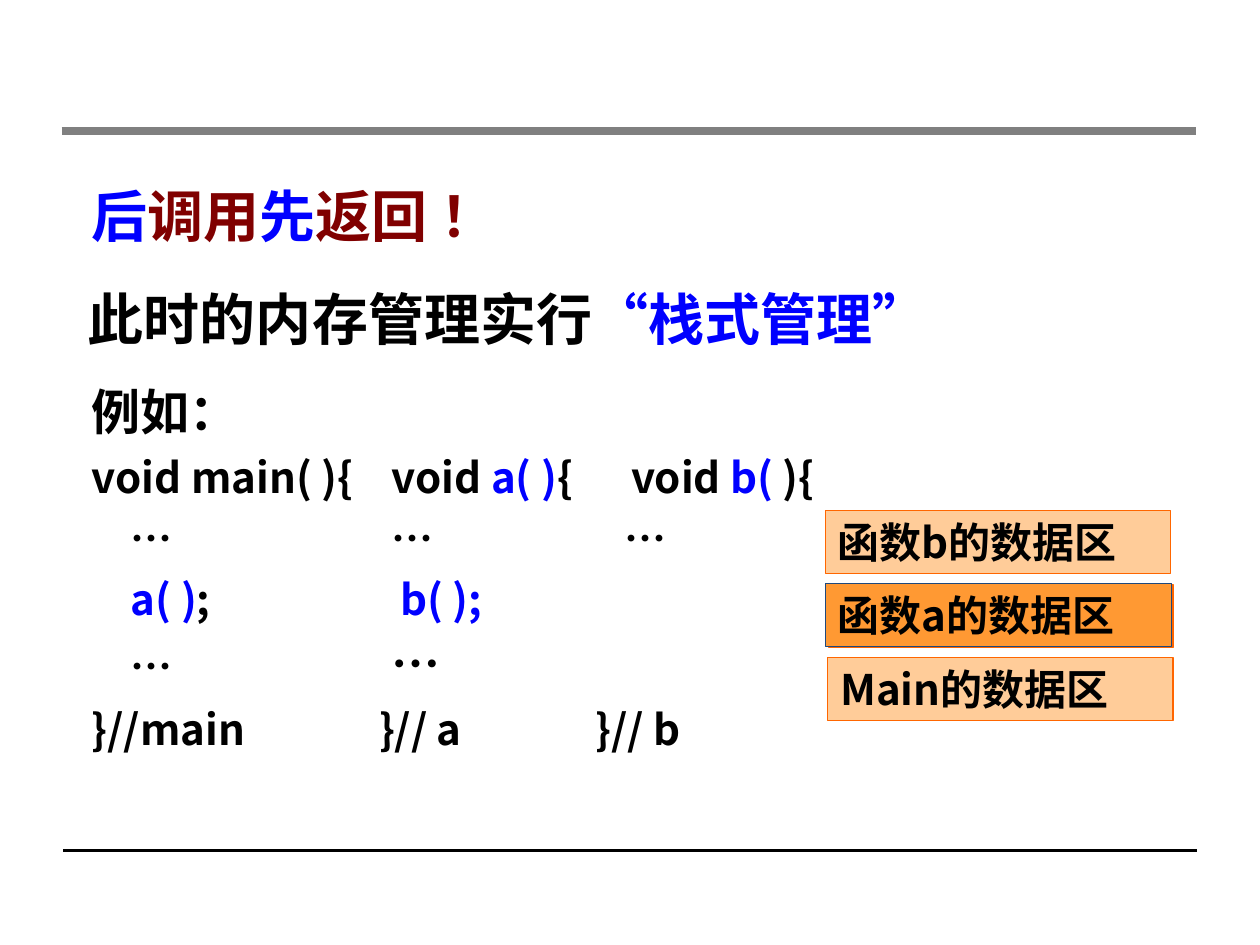
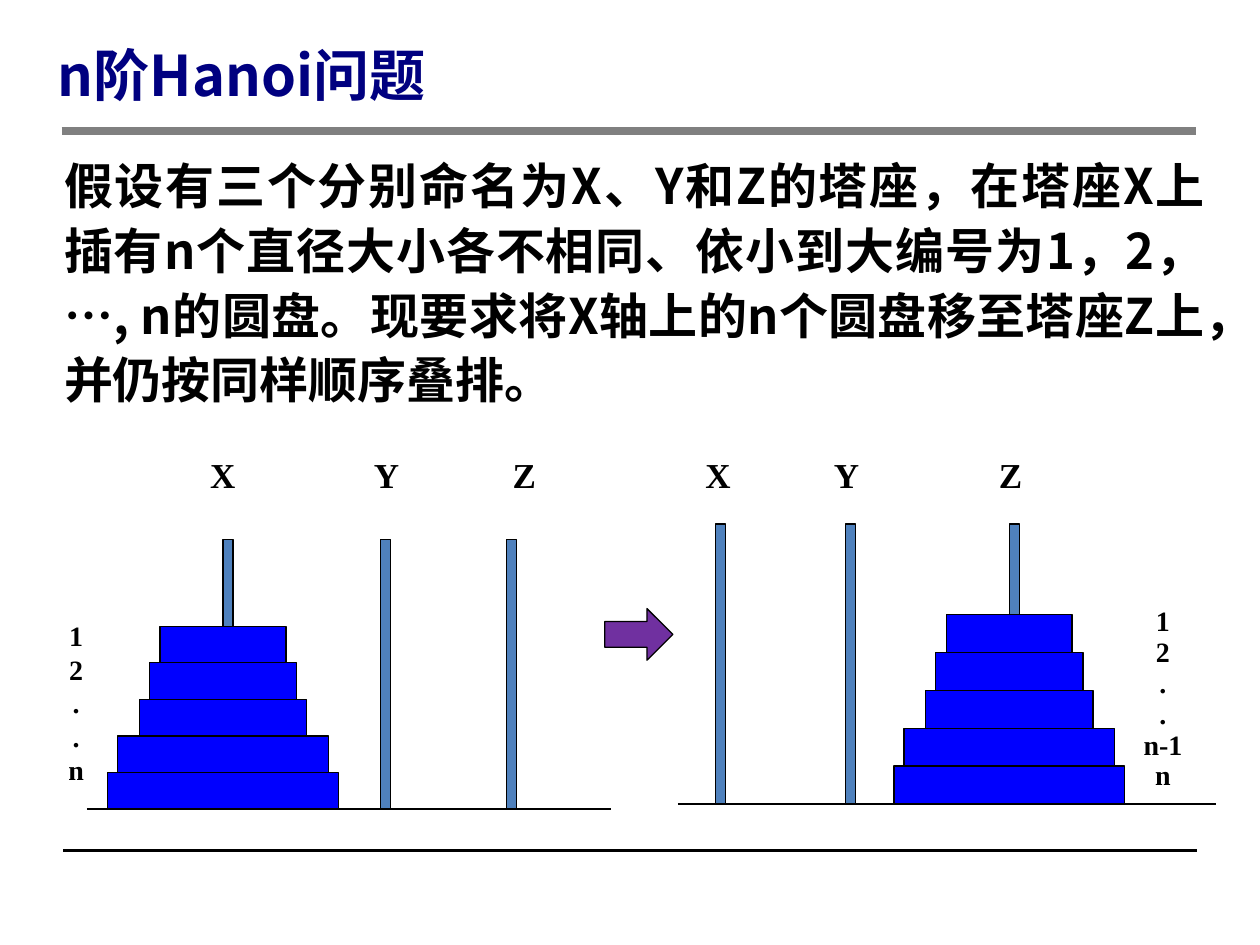
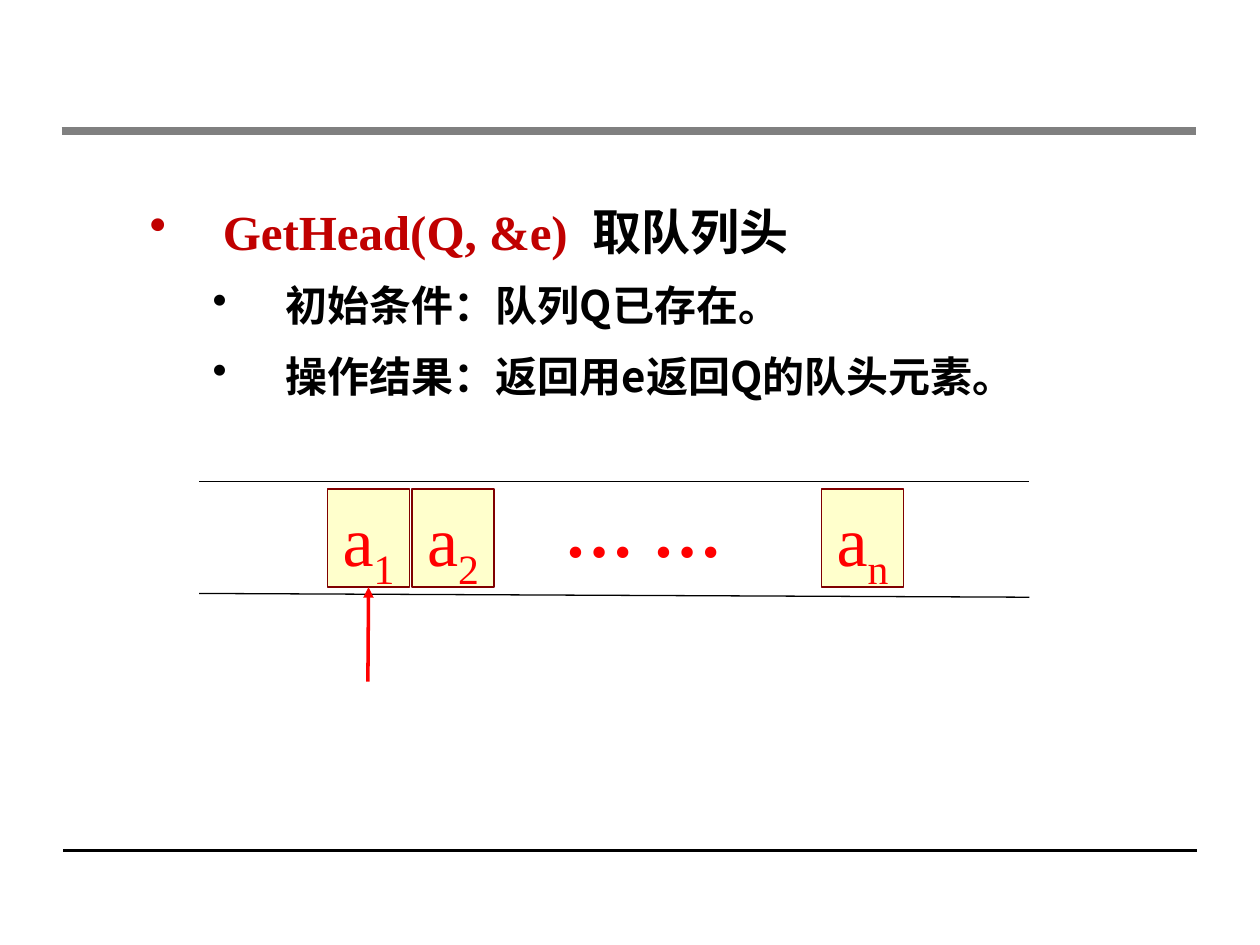
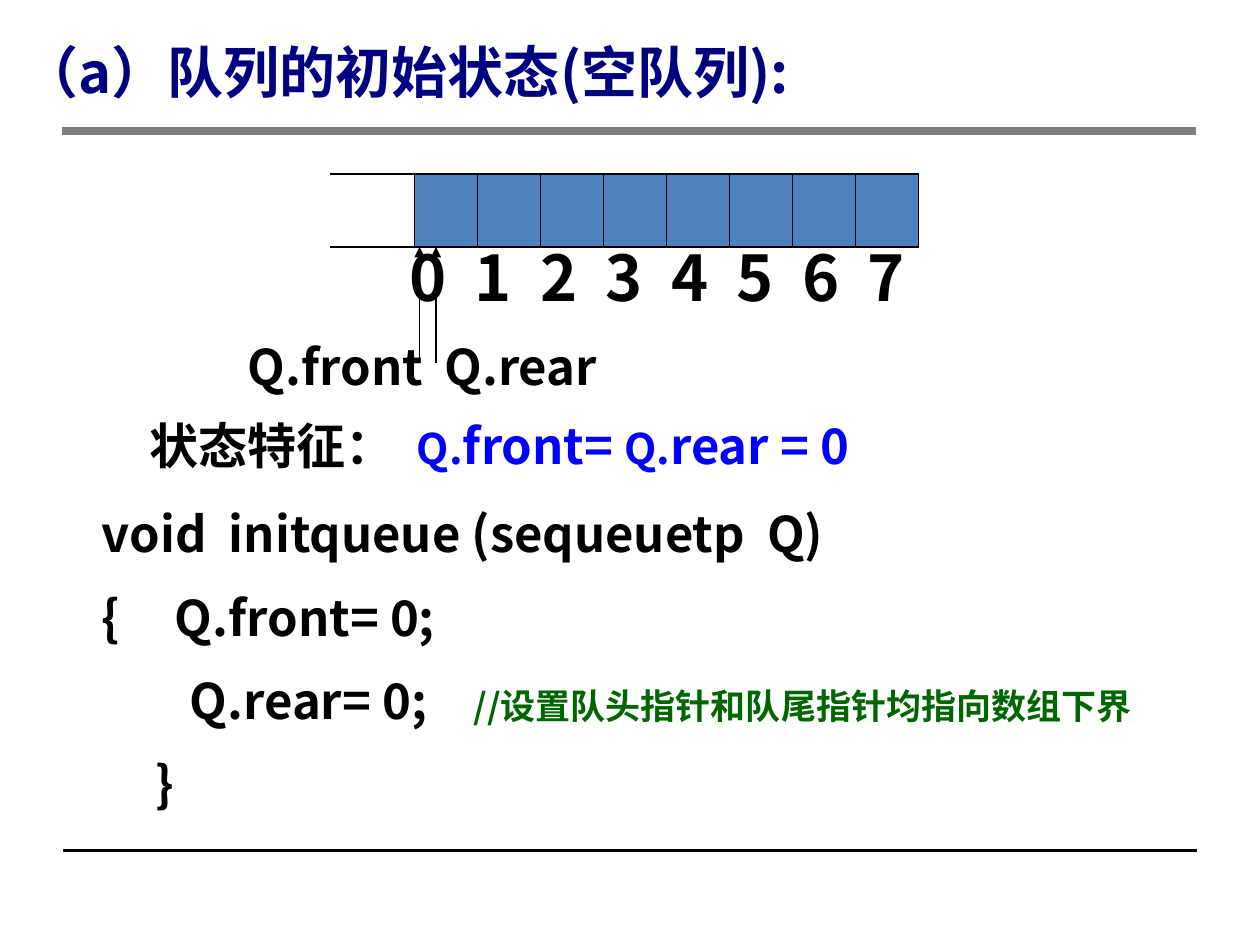
from lxml import etree
from pptx import Presentation
from pptx import util as u
from pptx.dml.color import RGBColor
from pptx.enum import shapes, text
from pptx.oxml import ns

Inches, Pt = u.Inches, u.Pt
RECT = shapes.MSO_SHAPE.RECTANGLE
RIGHT_ARROW = shapes.MSO_SHAPE.RIGHT_ARROW
LINE, TEXT = "line", "text"
CENTER, RIGHT, JUSTIFY = text.PP_ALIGN.CENTER, text.PP_ALIGN.RIGHT, text.PP_ALIGN.JUSTIFY
TOP, MIDDLE = text.MSO_ANCHOR.TOP, text.MSO_ANCHOR.MIDDLE
SANS, SERIF = "Noto Sans CJK SC", "Times New Roman"

BLACK = RGBColor(0x00, 0x00, 0x00)
GRAY = RGBColor(0x80, 0x80, 0x80)
BLUE = RGBColor(0x00, 0x00, 0xFF)
NAVY = RGBColor(0x00, 0x00, 0x80)
SLATE = RGBColor(0x1F, 0x49, 0x7D)
STEEL = RGBColor(0x4F, 0x81, 0xBD)
MAROON = RGBColor(0x80, 0x00, 0x00)
CRIMSON = RGBColor(0xC0, 0x00, 0x00)
RED = RGBColor(0xFF, 0x00, 0x00)
GREEN = RGBColor(0x00, 0x66, 0x00)
PURPLE = RGBColor(0x70, 0x30, 0xA0)
PEACH = RGBColor(0xFF, 0xCC, 0x99)
ORANGE = RGBColor(0xFF, 0x99, 0x33)
DEEP_ORANGE = RGBColor(0xFF, 0x66, 0x00)
CREAM = RGBColor(0xFF, 0xFF, 0xCC)


def draw(s, kind, x, y, w, h, fill=None, edge=BLACK, width=0.75, arrow=False, anchor=TOP):
    box = [Inches(v) for v in (x, y, w, h)]
    if kind == LINE:
        sp = s.shapes.add_connector(
            shapes.MSO_CONNECTOR.STRAIGHT, box[0], box[1], Inches(x + w), Inches(y + h))
        sp.line.color.rgb = edge
        sp.line.width = Pt(width)
        if arrow:
            etree.SubElement(sp.line._get_or_add_ln(), ns.qn("a:tailEnd"), type="triangle")
        etree.SubElement(sp._element.spPr, ns.qn("a:effectLst"))
        return sp
    if kind == TEXT:
        sp = s.shapes.add_textbox(*box)
    else:
        sp = s.shapes.add_shape(kind, *box)
        sp.shadow.inherit = False
        sp.fill.solid()
        sp.fill.fore_color.rgb = fill
        sp.line.color.rgb = edge
        sp.line.width = Pt(width)
    sp.text_frame.word_wrap = True
    sp.text_frame.vertical_anchor = anchor
    return sp


def write(sp, runs, size=24, color=BLACK, font=SANS, bold=True, align=text.PP_ALIGN.LEFT,
          spacing=None, before=0, tabs=(), bullet=None):
    tf = sp.text_frame
    p = tf.paragraphs[0] if not tf.text else tf.add_paragraph()
    p.alignment = align
    p.space_before = Pt(before)
    if spacing:
        p.line_spacing = spacing
    pPr = p._p.get_or_add_pPr()
    if bullet:
        pPr.set("marL", str(Inches(bullet)))
        pPr.set("indent", str(Inches(-0.58)))
        etree.SubElement(pPr, ns.qn("a:buChar"), char="•")
    if tabs:
        stops = etree.SubElement(pPr, ns.qn("a:tabLst"))
        for pos in tabs:
            etree.SubElement(stops, ns.qn("a:tab"), pos=str(Inches(pos)), algn="l")
    for run in [runs] if isinstance(runs, str) else runs:
        words, own = (run, {}) if isinstance(run, str) else run
        r = p.add_run()
        r.text = words
        face = own.get("font", font)
        r.font.name = face
        r.font.size = Pt(own.get("size", size))
        r.font.bold = bold
        r.font.color.rgb = own.get("color", color)
        rPr = r._r.get_or_add_rPr()
        etree.SubElement(rPr, ns.qn("a:ea"), typeface=face)
        if "baseline" in own:
            rPr.set("baseline", str(own["baseline"]))


prs = Presentation()
prs.slide_width, prs.slide_height = Inches(10), Inches(7.5)
slides = []
for _ in range(4):
    s = prs.slides.add_slide(prs.slide_layouts[6])
    draw(s, LINE, 0.5, 6.75, 9, 0, width=2)
    draw(s, LINE, 0.49, 1.04, 9, 0, edge=GRAY, width=5)
    slides.append(s)
calls, hanoi, get_head, empty_queue = slides

for s, title, x, w, anchor in (
    (hanoi, "n阶Hanoi问题", 0.36, 8.5, TOP),
    (empty_queue, "（a）队列的初始状态(空队列):", 0.08, 7.38, MIDDLE),
):
    write(draw(s, TEXT, x, 0.25, w, 0.6, anchor=anchor), title,
          size=32, color=NAVY, spacing=Pt(40))

blue = {"color": BLUE}

s = calls
write(draw(s, TEXT, 0.6, 2.08, 9.33, 0.73),
      ["此时的内存管理实行", ("“栈式管理”", blue)], size=32, spacing=1.25)
write(draw(s, TEXT, 0.63, 1.26, 3.46, 0.73),
      [("后", blue), "调用", ("先", blue), "返回 ！"], size=32, color=MAROON, spacing=1.25)
sp = draw(s, TEXT, 0.63, 3.07, 7.25, 3.19)
write(sp, "例如：", size=28, spacing=0.8)
for runs, tabs in (
    (["void main( ){\tvoid ", ("a( )", blue), "{\tvoid ", ("b( ", blue), "){"], (2.38, 4.28)),
    (["\t…\t…\t…"], (0.31, 2.38, 4.23)),
    (["\t", ("a( )", blue), ";\t", ("b( );", blue)], (0.31, 2.45)),
    (["\t…\t", ("…", {"size": 28})], (0.31, 2.38)),
    (["}//main\t}// a\t}// b"], (2.28, 4)),
):
    write(sp, runs, spacing=0.8, before=12, tabs=tabs)
for label, x, y, w, fill, edge in (
    ("Main的数据区", 6.57, 5.22, 2.74, PEACH, DEEP_ORANGE),
    ("", 6.58, 4.64, 2.73, PEACH, DEEP_ORANGE),
    ("函数b的数据区", 6.55, 4.05, 2.74, PEACH, DEEP_ORANGE),
    ("函数a的数据区", 6.55, 4.63, 2.75, ORANGE, SLATE),
):
    sp = draw(s, RECT, x, y, w, 0.5, fill, edge)
    if label:
        write(sp, label)

s = hanoi
write(draw(s, TEXT, 0.41, 1.14, 9.25, 2.13),
      "假设有三个分别命名为X、Y和Z的塔座，在塔座X上插有n个直径大小各不相同、"
      "依小到大编号为1，2，…, n的圆盘。现要求将X轴上的n个圆盘移至塔座Z上，"
      "并仍按同样顺序叠排。",
      size=28, align=JUSTIFY, spacing=1.1)
disc_widths = (1, 1.17, 1.33, 1.67, 1.83)
for pegs, peg_top, base, base_x, base_w, middle, step, label_x, label_w, tabs in (
    ((1.77, 3.02, 4.02), 4.28, 6.42, 0.69, 4.16, 1.77, 0.29, 1.44, 3.2, (0.13, 1.43, 2.53)),
    ((5.68, 6.71, 8.01), 4.16, 6.38, 5.38, 4.27, 8.01, 0.3, 5.21, 3.4, (0.29, 1.31, 2.62)),
):
    for x in pegs:
        draw(s, RECT, x, peg_top, 0.08, base - peg_top, STEEL)
    draw(s, LINE, base_x, base, base_w, 0)
    for i, w in enumerate(disc_widths):
        draw(s, RECT, middle - w / 2, base - step * (5 - i), w, step, BLUE)
    write(draw(s, TEXT, label_x, 3.55, label_w, 0.44), "\tX\tY\tZ",
          size=20, font=SERIF, tabs=tabs)
for x, y, w, h, numbers, spacing, before in (
    (0.44, 4.86, 0.33, 1.45, ("1", "2", ".", ".", "n"), 1, 0),
    (8.93, 4.86, 0.6, 1.6, ("1", "2", ".", ".", "n-1", "n"), 0.5, 8),
):
    sp = draw(s, TEXT, x, y, w, h)
    for number in numbers:
        write(sp, number, size=16, font=SERIF, align=CENTER, spacing=spacing, before=before)
draw(s, RIGHT_ARROW, 4.8, 4.83, 0.54, 0.41, PURPLE)

s = get_head
draw(s, LINE, 1.58, 3.82, 6.59, 0)
draw(s, LINE, 1.58, 4.71, 6.59, 0.03)
cells = []
for x, index in ((2.6, "1"), (3.27, "2"), (6.52, "n")):
    sp = draw(s, RECT, x, 3.88, 0.65, 0.78, CREAM, MAROON)
    write(sp, ["a", (index, {"size": 41, "baseline": -25000})],
          size=40, color=RED, font=SERIF, bold=False, align=CENTER)
    cells.append(sp)
pointer = draw(s, LINE, 2.92, 5.41, 0, -0.75, edge=RED, width=2, arrow=True)
pointer.end_connect(cells[0], 2)
write(draw(s, TEXT, 4.28, 3.82, 1.55, 0.77), "… …",
      size=40, color=RED, font=SERIF, align=RIGHT)
sp = draw(s, TEXT, 0.89, 1.36, 8.3, 2.46)
write(sp, [("GetHead(Q, &e)  ", {"color": CRIMSON, "font": SERIF}), "取队列头"],
      size=28, spacing=1.4, bullet=0.78)
for line in ("初始条件：队列Q已存在。", "操作结果：返回用e返回Q的队头元素。"):
    write(sp, line, spacing=1.4, bullet=1.28)

s = empty_queue
for i in range(8):
    draw(s, RECT, 3.29 + 0.5 * i, 1.38, 0.5, 0.58, STEEL)
for y in (1.38, 1.96):
    draw(s, LINE, 3.29, y, -0.67, 0)
for x in (3.33, 3.46):
    draw(s, LINE, x, 2.88, 0, -0.92, arrow=True)
sp = draw(s, TEXT, 0.54, 1.89, 8.5, 2.06)
write(sp, "".join(f"\t{i}" for i in range(8)), size=36, spacing=0.95,
      tabs=[2.61 + 0.52 * i for i in range(8)])
write(sp, "\tQ.front\tQ.rear", size=28, spacing=0.95, before=14, tabs=(1.33, 2.89))
small = {"size": 24, "color": BLUE}
write(sp, ["\t状态特征：\t", ("Q.", small), ("front= ", blue), ("Q.", small), ("rear = 0", blue)],
      size=28, spacing=0.95, before=13, tabs=(0.55, 2.67))
sp = draw(s, TEXT, 0.71, 3.95, 9.17, 2.69)
comment = ("//设置队头指针和队尾指针均指向数组下界", {"size": 20, "color": GREEN})
for runs, tabs in (
    (["void  initqueue (sequeuetp  Q)"], ()),
    (["{\tQ.front= 0;"], (0.58,)),
    (["\tQ.rear= 0;\t", comment], (0.7, 2.95)),
    (["\t}"], (0.43,)),
):
    write(sp, runs, size=28, before=14, tabs=tabs)

prs.save("out.pptx")
